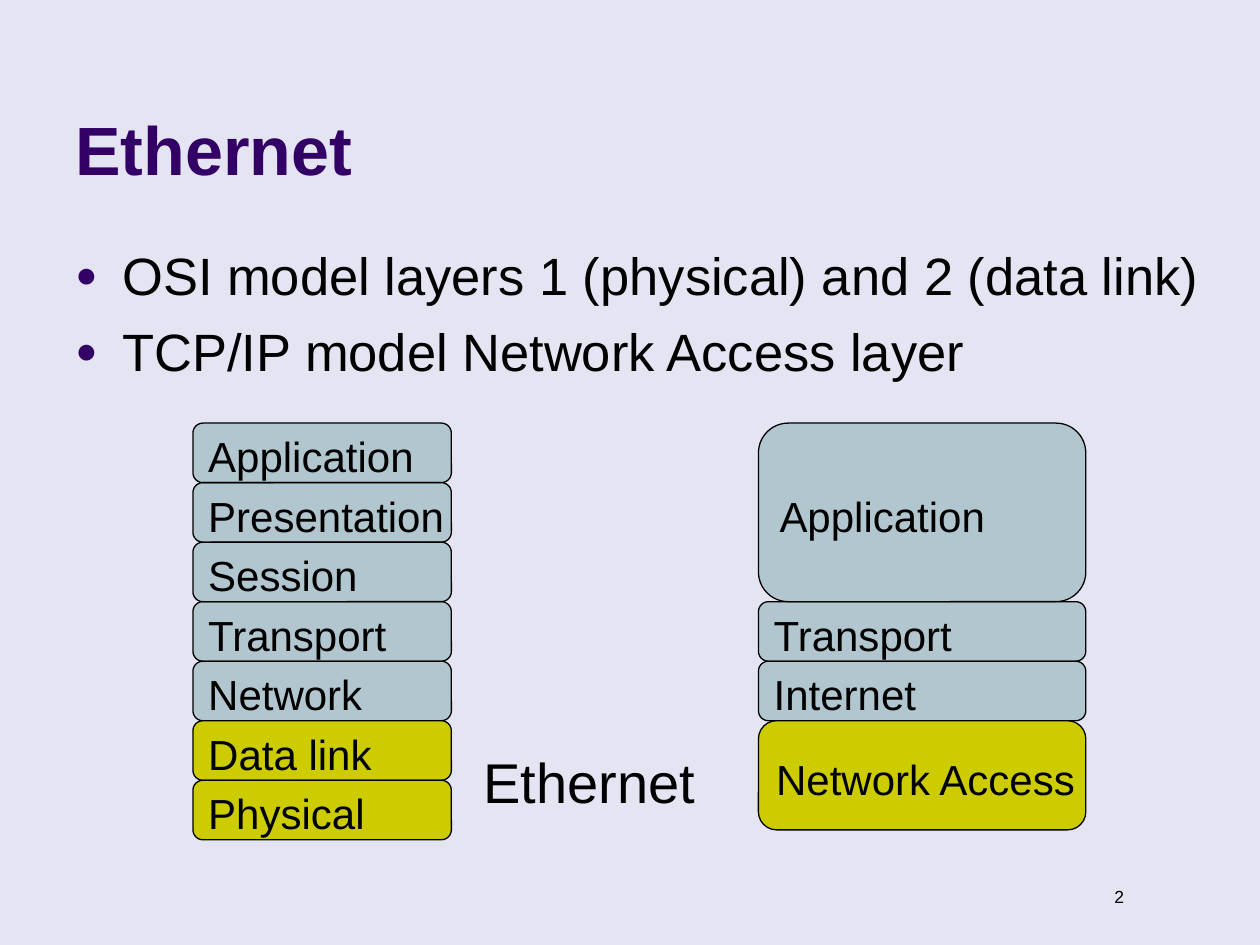
import pptx
import pptx.util
import pptx.dml.color
import pptx.enum.shapes
import pptx.enum.text
import pptx.oxml.ns
from dataclasses import dataclass
from lxml import etree
from pptx.util import Cm


@dataclass(frozen=True)
class Theme:
    font: str = "Arial"
    background: str = "E4E4F2"
    accent: str = "330066"
    ink: str = "000000"
    layer: str = "669999"
    ethernet: str = "CCCC00"
    title: int = 39
    body: int = 30
    caption: int = 32
    label: int = 24
    number: int = 10


theme = Theme()
color = pptx.dml.color.RGBColor.from_string
qn = pptx.oxml.ns.qn
anchors = pptx.enum.text.MSO_ANCHOR
left_align = pptx.enum.text.PP_ALIGN.LEFT


def style(para, size, ink=theme.ink, bold=False, align=left_align):
    para.alignment = align
    for span in para.runs:
        span.font.name = theme.font
        span.font.size = pptx.util.Pt(size)
        span.font.bold = bold
        span.font.color.rgb = color(ink)


def add_text(page, left, top, width, height, text, anchor=anchors.TOP):
    box = page.shapes.add_textbox(Cm(left), Cm(top), Cm(width), Cm(height))
    frame = box.text_frame
    frame.word_wrap = True
    frame.vertical_anchor = anchor
    frame.text = text
    return frame.paragraphs


deck = pptx.Presentation()
deck.slide_width, deck.slide_height = Cm(25.4), Cm(19.05)
page = deck.slides.add_slide(deck.slide_layouts[6])
page.background.fill.solid()
page.background.fill.fore_color.rgb = color(theme.background)

# Slide number
number = add_text(page, 21.31, 17.73, 1.6, 0.69, "2")
style(number[0], theme.number, align=pptx.enum.text.PP_ALIGN.RIGHT)

# Title
title = add_text(page, 1.27, 0.33, 20.95, 3.6, "Ethernet", anchors.BOTTOM)
style(title[0], theme.title, theme.accent, bold=True)

# Bullet points
points = add_text(
    page, 1.27, 4.78, 23.24, 3.96,
    "OSI model layers 1 (physical) and 2 (data link)\n"
    "TCP/IP model Network Access layer",
)
for index, para in enumerate(points):
    props = para._p.get_or_add_pPr()
    props.set("marL", str(Cm(0.95)))
    props.set("indent", str(-Cm(0.95)))
    bullet_color = etree.SubElement(props, qn("a:buClr"))
    etree.SubElement(bullet_color, qn("a:srgbClr"), val=theme.accent)
    etree.SubElement(props, qn("a:buSzPct"), val="70000")
    etree.SubElement(props, qn("a:buFont"), typeface=theme.font)
    etree.SubElement(props, qn("a:buChar"), char="●")
    if index:
        para.space_before = pptx.util.Pt(7.5)
    style(para, theme.body)

# Layer stacks: left, width, then (name, height, belongs to Ethernet)
row = 1.2
osi_names = ["Application", "Presentation", "Session", "Transport",
             "Network", "Data link", "Physical"]
osi_layers = [(name, row, name in ("Data link", "Physical"))
              for name in osi_names]
tcp_layers = [("Application", 3 * row, False), ("Transport", row, False),
              ("Internet", row, False), ("Network Access", 2.2, True)]

for left, width, layers in [(3.89, 5.21, osi_layers), (15.29, 6.6, tcp_layers)]:
    stack = page.shapes.add_group_shape()
    top = 8.53
    for name, height, is_ethernet in layers:
        layer = stack.shapes.add_shape(
            pptx.enum.shapes.MSO_SHAPE.ROUNDED_RECTANGLE,
            Cm(left), Cm(top), Cm(width), Cm(height))
        layer.shadow.inherit = False
        layer.fill.solid()
        layer.fill.fore_color.rgb = color(
            theme.ethernet if is_ethernet else theme.layer)
        if not is_ethernet:
            tint = layer.fill._xPr.find(".//" + qn("a:srgbClr"))
            etree.SubElement(tint, qn("a:alpha"), val="40000")
        layer.line.color.rgb = color(theme.ink)
        layer.line.width = pptx.util.Pt(0.75)

        frame = layer.text_frame
        frame.margin_left, frame.margin_right = Cm(0.25), Cm(0)
        frame.margin_top, frame.margin_bottom = Cm(0.12), Cm(0)
        frame.vertical_anchor = anchors.MIDDLE
        frame.text = name
        style(frame.paragraphs[0], theme.label)
        top += height

# Caption between the stacks
caption = add_text(page, 9.5, 14.94, 5.38, 1.63, "Ethernet")
style(caption[0], theme.caption)

deck.save("out.pptx")
